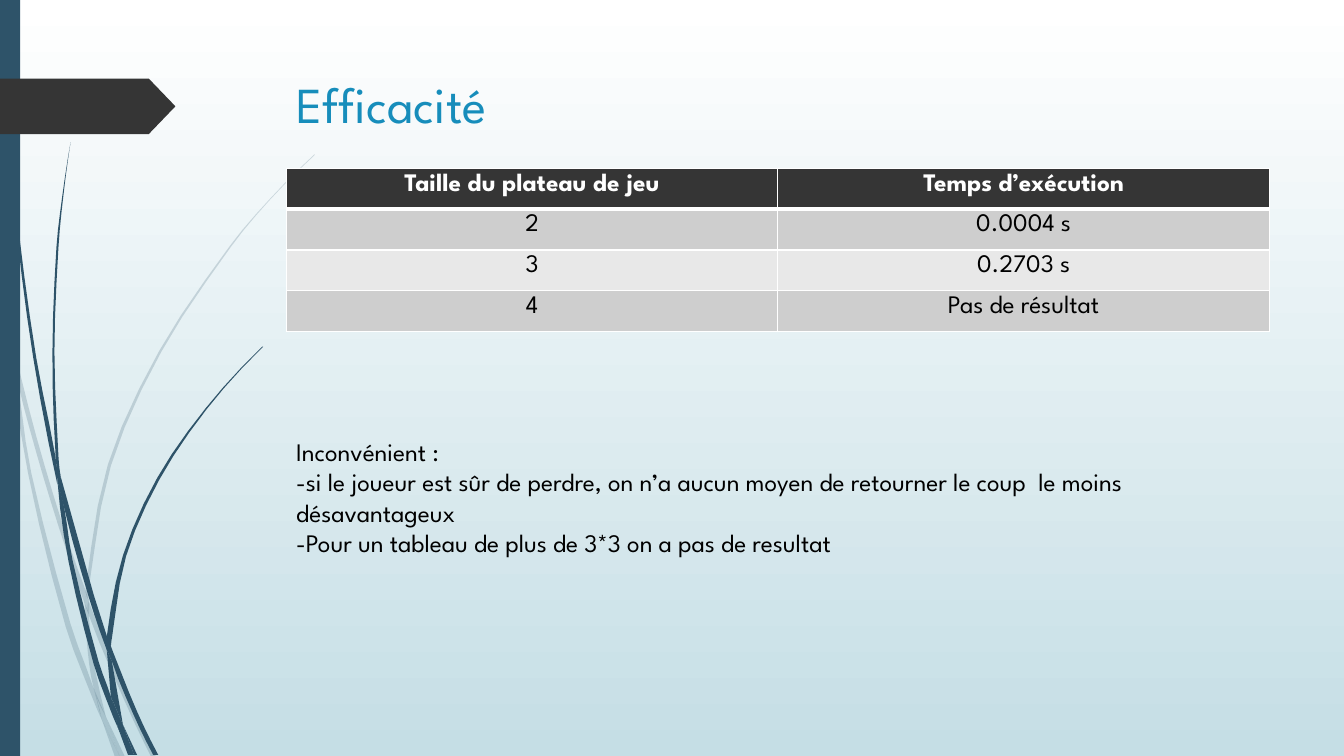
"""Build the "Efficacité" slide: curved blades, a results table and remarks."""
from lxml import etree
from pptx import Presentation
from pptx import util as u
from pptx.dml.color import RGBColor
from pptx.enum import shapes, text
from pptx.oxml import ns

FONT = "League Spartan"
WHITE = RGBColor(0xFF, 0xFF, 0xFF)
BLACK = RGBColor(0x00, 0x00, 0x00)
MIST = RGBColor(0xC5, 0xDE, 0xE5)
NAVY = RGBColor(0x2E, 0x53, 0x69)
CHARCOAL = RGBColor(0x35, 0x35, 0x35)
BLUE = RGBColor(0x17, 0x8D, 0xBB)
GREY = RGBColor(0xCE, 0xCE, 0xCE)
PALE_GREY = RGBColor(0xE8, 0xE8, 0xE8)

LEFT, CONTENT_WIDTH = 2.84, 9.75

PALE_BLADES = [
    ([(0, 2.99), (0.1, 3.44), (0.11, 3.5)], [(0, 2.82), (0.09, 3.22), (0.11, 3.5)]),
    ([(0.14, 3.45), (0.17, 3.76), (0.36, 4.49), (0.58, 5.22), (0.84, 5.99)],
     [(0.14, 3.45), (0.36, 4.33), (0.62, 5.2), (0.85, 5.86)]),
    ([(0.88, 5.96), (0.88, 6.1), (1.23, 6.94), (1.5, 7.51)],
     [(0.88, 5.96), (0.92, 6.07), (1.27, 6.92), (1.55, 7.51)]),
    ([(1.05, 7.11), (1.19, 7.51)], [(1.05, 7.11), (1.24, 7.51)]),
    ([(0.11, 3.5), (0.28, 4.7), (0.65, 6.21), (0.92, 6.93), (1.01, 7.14)],
     [(0.11, 3.5), (0.17, 3.76), (0.31, 4.69), (0.7, 6.19), (0.93, 6.83), (1.01, 7.14)]),
    ([(0.84, 5.99), (0.87, 6.46), (0.93, 6.83), (1.05, 7.11)],
     [(0.84, 5.99), (0.88, 6.1), (0.91, 6.46), (1.05, 7.11)]),
    ([(3.12, 1.53), (2.68, 1.97), (2.28, 2.44), (1.58, 3.48), (1.07, 4.61),
      (0.85, 5.84), (0.88, 5.96)],
     [(3.12, 1.54), (2.68, 1.98), (2.29, 2.45), (1.6, 3.49), (1.1, 4.62),
      (0.88, 5.84), (0.88, 5.96)]),
    ([(1.01, 7.14), (1.14, 7.51)], [(1.01, 7.14), (1.19, 7.51)]),
    ([(0.85, 5.86), (0.84, 5.99), (0.88, 6.1)], [(0.85, 5.86), (0.88, 5.96), (0.88, 6.1)]),
    ([(0.93, 6.83), (1.01, 7.14), (1.19, 7.51)], [(0.93, 6.83), (1.05, 7.11), (1.19, 7.51)]),
]
DARK_BLADES = [
    ([(0.03, 0), (0.07, 1.1), (0.17, 2.33), (0.33, 3.55), (0.57, 4.81)],
     [(0.04, 0), (0.08, 1.09), (0.19, 2.32), (0.36, 3.55), (0.55, 4.53), (0.57, 4.81)]),
    ([(0.6, 4.72), (0.64, 5.05), (0.88, 5.92), (1.06, 6.45)],
     [(0.6, 4.72), (0.93, 5.9), (1.06, 6.31)]),
    ([(1.1, 6.41), (1.11, 6.56), (1.32, 7.08), (1.52, 7.49)],
     [(1.1, 6.41), (1.13, 6.49), (1.36, 7.06), (1.57, 7.49)]),
    ([(0.57, 4.77), (0.68, 5.57), (0.93, 6.59), (1.11, 7.08), (1.17, 7.22)],
     [(0.57, 4.77), (0.64, 5.05), (0.72, 5.56), (0.98, 6.57), (1.1, 6.91), (1.17, 7.22)]),
    ([(0.7, 1.41), (0.62, 1.93), (0.56, 2.45), (0.52, 3.49), (0.55, 4.49), (0.6, 4.72)],
     [(0.7, 1.41), (0.63, 1.93), (0.58, 2.45), (0.54, 3.49), (0.58, 4.53), (0.6, 4.72)]),
    ([(1.22, 7.19), (1.33, 7.49)], [(1.22, 7.19), (1.36, 7.49)]),
    ([(0.55, 4.49), (0.57, 4.77), (0.64, 5.05)], [(0.55, 4.49), (0.6, 4.72), (0.64, 5.05)]),
    ([(2.6, 3.44), (2.04, 4.05), (1.56, 4.74), (1.22, 5.51), (1.06, 6.31), (1.1, 6.41)],
     [(2.61, 3.44), (2.05, 4.06), (1.58, 4.76), (1.25, 5.52), (1.11, 6.33), (1.1, 6.41)]),
    ([(1.17, 7.22), (1.27, 7.49)], [(1.17, 7.22), (1.31, 7.49)]),
    ([(1.06, 6.45), (1.1, 6.91), (1.22, 7.19)], [(1.06, 6.45), (1.11, 6.56), (1.22, 7.19)]),
    ([(1.06, 6.31), (1.06, 6.45), (1.11, 6.56)], [(1.06, 6.31), (1.1, 6.41), (1.11, 6.56)]),
    ([(1.1, 6.91), (1.17, 7.22), (1.3, 7.49)], [(1.1, 6.91), (1.22, 7.19), (1.33, 7.49)]),
]
RESULTS = [
    ("Taille du plateau de jeu", "Temps d’exécution"),
    ("2", "0.0004 s"),
    ("3", "0.2703 s"),
    ("4", "Pas de résultat"),
]
REMARKS = [
    "Inconvénient :",
    "-si le joueur est sûr de perdre, on n’a aucun moyen de retourner le coup  le moins désavantageux",
    "-Pour un tableau de plus de 3*3 on a pas de resultat",
]


def paint(sp, color):
    """Give a shape a flat fill without line or shadow."""
    sp.shadow.inherit = False
    sp.fill.solid()
    sp.fill.fore_color.rgb = color
    sp.line.fill.background()


def add_text(p, content, size, color, bold=False):
    """Add one formatted run to a paragraph."""
    r = p.add_run()
    r.text = content
    r.font.name = FONT
    r.font.size = u.Pt(size)
    r.font.bold = bold
    r.font.color.rgb = color


def smooth(points, steps=3):
    """Return a Hermite curve through points ordered from top to bottom."""
    if len(points) < 4:
        return points
    chords = [(xb - xa) / (yb - ya) for (xa, ya), (xb, yb) in zip(points, points[1:])]
    inner = [(xb - xa) / (yb - ya) for (xa, ya), (xb, yb) in zip(points, points[2:])]
    slopes = [2 * chords[0] - inner[0], *inner, 2 * chords[-1] - inner[-1]]
    curve = [points[0]]
    for i, ((xa, ya), (xb, yb)) in enumerate(zip(points, points[1:])):
        h = yb - ya
        for k in range(1, steps + 1):
            t = k / steps
            blend = t * t * (3 - 2 * t)
            bend = h * t * (1 - t) * (slopes[i] * (1 - t) - slopes[i + 1] * t)
            curve.append((xa + (xb - xa) * blend + bend, ya + h * t))
    return curve


def add_blade(s, left, right, opacity=100):
    """Draw a curved blade between its left and right edges."""
    outline = smooth(left) + smooth(right)[::-1]
    points = [(u.Inches(x), u.Inches(y)) for x, y in outline]
    builder = s.shapes.build_freeform(*points[0])
    builder.add_line_segments(points[1:], close=True)
    sp = builder.convert_to_shape()
    paint(sp, NAVY)
    if opacity < 100:
        color = sp._element.spPr.find(ns.qn("a:solidFill"))[0]
        etree.SubElement(color, ns.qn("a:alpha"), val=str(opacity * 1000))


def add_block(s, kind, top, width, height, color):
    """Draw a preset shape on the left edge of the slide."""
    sp = s.shapes.add_shape(kind, 0, u.Inches(top), u.Inches(width), u.Inches(height))
    paint(sp, color)
    return sp


def add_background(s):
    """Fill the slide with a vertical gradient."""
    fill = s.background.fill
    fill.gradient()
    fill.gradient_angle = 270
    for stop, color, position in zip(fill.gradient_stops, (WHITE, MIST), (0, 1)):
        stop.color.rgb = color
        stop.position = position


def set_title(s, content):
    """Place and fill the title placeholder."""
    sp = s.shapes.title
    sp.left, sp.top = u.Inches(LEFT), u.Inches(0.68)
    sp.width, sp.height = u.Inches(CONTENT_WIDTH), u.Inches(1.4)
    tf = sp.text_frame
    tf.auto_size = text.MSO_AUTO_SIZE.NONE
    tf.vertical_anchor = text.MSO_ANCHOR.TOP
    p = tf.paragraphs[0]
    p.alignment = text.PP_ALIGN.LEFT
    add_text(p, content, 36, BLUE)
    s.shapes._spTree.append(sp._element)


def set_borders(cell, widths):
    """Draw white cell borders with the given widths by side."""
    tc_pr = cell._tc.get_or_add_tcPr()
    for side, width in widths.items():
        ln = etree.SubElement(tc_pr, ns.qn(f"a:ln{side}"), w=str(u.Pt(width)))
        fill = etree.SubElement(ln, ns.qn("a:solidFill"))
        etree.SubElement(fill, ns.qn("a:srgbClr"), val=str(WHITE))


def add_results(s, rows):
    """Add the table of run times, with its header in the first row."""
    table = s.shapes.add_table(
        len(rows), len(rows[0]), u.Inches(LEFT), u.Inches(1.67),
        u.Inches(CONTENT_WIDTH), u.Inches(1.62)).table
    for i, row in enumerate(rows):
        header = i == 0
        fill = CHARCOAL if header else (PALE_GREY, GREY)[i % 2]
        for j, content in enumerate(row):
            cell = table.cell(i, j)
            set_borders(cell, {"L": 1, "R": 1, "T": 3 if i == 1 else 1, "B": 3 if header else 1})
            cell.fill.solid()
            cell.fill.fore_color.rgb = fill
            p = cell.text_frame.paragraphs[0]
            p.alignment = text.PP_ALIGN.CENTER
            add_text(p, content, 18, WHITE if header else BLACK, header)


def add_remarks(s, lines):
    """Add the text box of remarks, one paragraph a line."""
    sp = s.shapes.add_textbox(u.Inches(LEFT), u.Inches(4.28), u.Inches(9), u.Inches(1.62))
    tf = sp.text_frame
    tf.word_wrap = True
    tf.auto_size = text.MSO_AUTO_SIZE.SHAPE_TO_FIT_TEXT
    for i, line in enumerate(lines):
        add_text(tf.add_paragraph() if i else tf.paragraphs[0], line, 18, BLACK)


def main():
    """Build and save the slide."""
    prs = Presentation()
    prs.slide_width, prs.slide_height = u.Inches(13.33), u.Inches(7.5)
    s = prs.slides.add_slide(prs.slide_layouts[5])
    add_background(s)
    for blades, opacity in ((PALE_BLADES, 20), (DARK_BLADES, 100)):
        for left, right in blades:
            add_blade(s, left, right, opacity)
    add_block(s, shapes.MSO_SHAPE.RECTANGLE, 0, 0.2, 7.5, NAVY)
    tag = add_block(s, shapes.MSO_SHAPE.PENTAGON, 0.78, 1.74, 0.55, CHARCOAL)
    tag.adjustments[0] = 0.48
    set_title(s, "Efficacité")
    add_results(s, RESULTS)
    add_remarks(s, REMARKS)
    prs.save("out.pptx")


if __name__ == "__main__":
    main()
